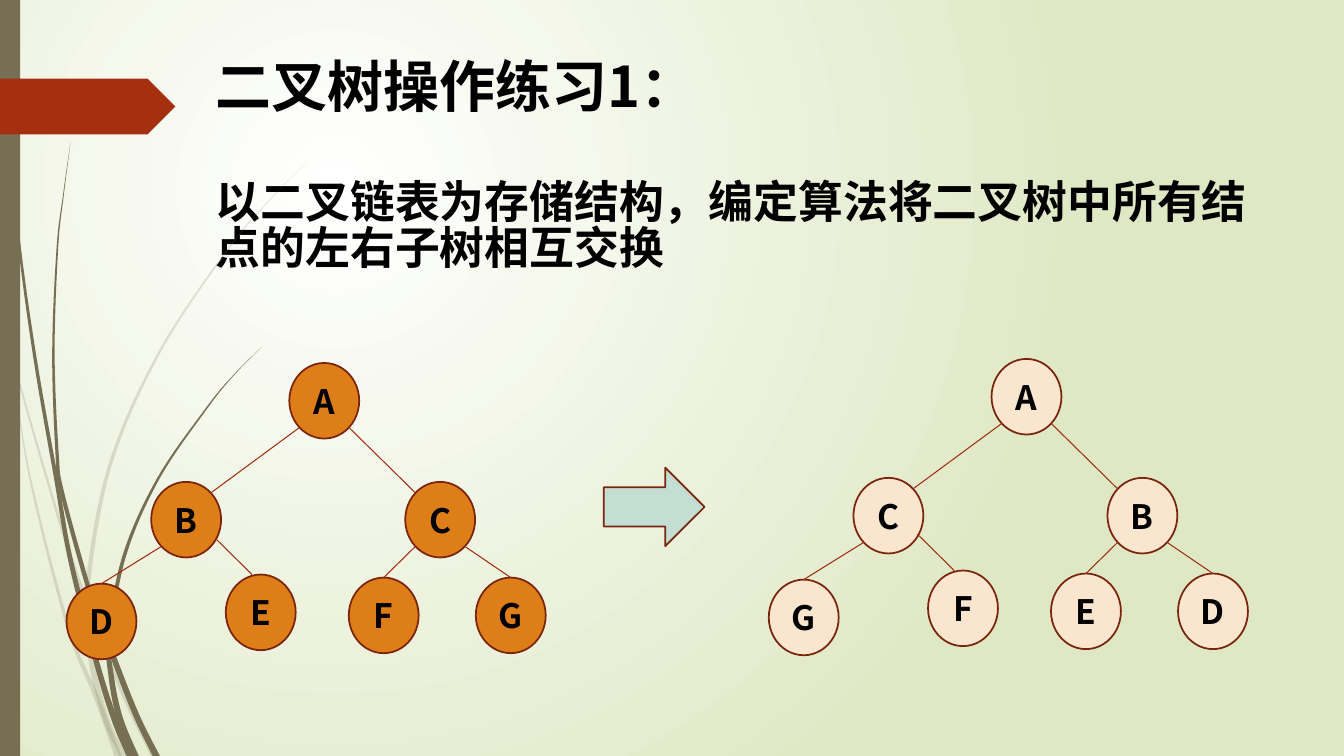
import dataclasses
import pptx
import pptx.util
import pptx.dml.color
import pptx.enum.shapes
import pptx.enum.text
import pptx.oxml.ns
from lxml import etree

qn = pptx.oxml.ns.qn
Pt = pptx.util.Pt
RGB = pptx.dml.color.RGBColor.from_string
SHAPE = pptx.enum.shapes.MSO_SHAPE
ALIGN = pptx.enum.text.PP_ALIGN
ANCHOR = pptx.enum.text.MSO_ANCHOR


@dataclasses.dataclass(frozen=True)
class Theme:
    font: str = "Noto Sans CJK SC"
    text: str = "000000"
    glow: str = "FFFFFF"
    meadow: str = "DFE8C4"
    stalk: str = "766F54"
    ribbon: str = "A53010"
    outline: str = "7A240C"
    edge: str = "9E2E0F"
    before: str = "DE7E18"
    after: str = "FAE5CF"
    arrow: str = "C3DED3"
    title_size: int = 40
    body_size: int = 32
    node_size: int = 24
    outline_width: float = 1.25
    edge_width: float = 0.75


theme = Theme()
presentation = pptx.Presentation()
presentation.slide_width = pptx.util.Inches(13.33)
presentation.slide_height = pptx.util.Inches(7.5)
cell = presentation.slide_width / 40
slide = presentation.slides.add_slide(presentation.slide_layouts[1])


def write(shape, text, size, align, anchor, inset):
    frame = shape.text_frame
    frame.text = text
    frame.word_wrap = True
    frame.auto_size = pptx.enum.text.MSO_AUTO_SIZE.NONE
    frame.vertical_anchor = anchor
    frame.margin_left = frame.margin_right = round(inset * cell)
    frame.margin_top = frame.margin_bottom = round(inset * cell / 2)
    paragraph = frame.paragraphs[0]
    paragraph.alignment = align
    paragraph.space_before = Pt(0)
    font = paragraph.runs[0].font
    font.size, font.bold = Pt(size), True
    font.color.rgb = RGB(theme.text)
    font.name = theme.font
    etree.SubElement(font._element, qn("a:ea"), typeface=theme.font)
    return paragraph


def paint(shape, fill, outline=None):
    shape.shadow.inherit = False
    shape.fill.solid()
    shape.fill.fore_color.rgb = RGB(fill)
    if outline:
        shape.line.color.rgb = RGB(outline)
        shape.line.width = Pt(theme.outline_width)
    else:
        shape.line.fill.background()
    return shape


background = slide.background.fill
background.gradient()
for stop, color in zip(background.gradient_stops, (theme.glow, theme.meadow)):
    stop.color.rgb = RGB(color)
gradient = slide.element.find(".//" + qn("a:gradFill"))
gradient.remove(gradient.find(qn("a:lin")))
circle = etree.SubElement(gradient, qn("a:path"))
circle.set("path", "circle")
etree.SubElement(circle, qn("a:fillToRect"), l="50000", t="50000", r="100000", b="100000")

faint_blades = [
    [(0, 8.7), (0.42, 10.8), (1.8, 15.6), (2.61, 18), (3.75, 20.79), (4.59, 22.5)],
    [(0.33, 10.5), (0.87, 14.1), (2.01, 18.6), (2.85, 20.7), (3.51, 22.5)],
    [(9.36, 4.59), (8.04, 5.94), (6.84, 7.35), (4.77, 10.44), (3.27, 13.86),
     (2.6, 17.52), (2.67, 19.38), (3.12, 21.3), (3.66, 22.5)],
]
dark_blades = [
    [(0.1, 0), (0.18, 1.44), (0.22, 3.3), (0.54, 6.99), (1.04, 10.65),
     (1.68, 14.31), (2.1, 16.68), (2.88, 19.74), (3.42, 21.45), (3.87, 22.5)],
    [(2.1, 4.23), (1.89, 5.79), (1.71, 7.35), (1.59, 10.47), (1.7, 13.5),
     (1.86, 14.7), (2.7, 17.73), (3.24, 19.2), (4.02, 21.21), (4.65, 22.5)],
    [(7.8, 10.32), (6.93, 11.2), (6.14, 12.17), (4.71, 14.25), (3.7, 16.55),
     (3.26, 18.96), (3.32, 20.19), (3.57, 21.39), (4.02, 22.5)],
]
blade_width = 0.22
steps = 8
for blade in faint_blades + dark_blades:
    knots = [blade[0], *blade, blade[-1]]
    spine = []
    for a, b, c, d in zip(knots, knots[1:], knots[2:], knots[3:]):
        for step in range(steps):
            t = step / steps
            spine.append([
                q + t * (r - p) / 2 + t**2 * (p - 2.5 * q + 2 * r - s / 2)
                + t**3 * (1.5 * (q - r) + (s - p) / 2)
                for p, q, r, s in zip(a, b, c, d)
            ])
    spine.append(blade[-1])
    halves = [blade_width / 2 * index / len(spine) for index in range(len(spine))]
    left = [(x - half, y) for (x, y), half in zip(spine, halves)]
    right = [(x + half, y) for (x, y), half in zip(spine, halves)]
    outline = [(round(x * cell), round(y * cell)) for x, y in left + right[::-1]]
    builder = slide.shapes.build_freeform(*outline[0])
    builder.add_line_segments(outline[1:], close=True)
    shape = paint(builder.convert_to_shape(), theme.stalk)
    if blade in faint_blades:
        color = shape.element.find(".//" + qn("a:srgbClr"))
        etree.SubElement(color, qn("a:alpha"), val="20000")

for kind, box, fill, outline in [
    (SHAPE.RECTANGLE, (0, 0, 0.6, 22.5), theme.stalk, None),
    (SHAPE.PENTAGON, (0, 2.34, 5.22, 1.66), theme.ribbon, None),
    (SHAPE.RIGHT_ARROW, (17.97, 13.92, 3, 2.34), theme.arrow, theme.outline),
]:
    paint(slide.shapes.add_shape(kind, *(round(v * cell) for v in box)), fill, outline)

title, body = slide.placeholders
for placeholder, text, size, top, height in [
    (title, "二叉树操作练习1：", theme.title_size, 1.7, 2.5),
    (body, "以二叉链表为存储结构，编定算法将二叉树中所有结点的左右子树相互交换",
     theme.body_size, 5.28, 4),
]:
    placeholder.left, placeholder.top = round(6.12 * cell), round(top * cell)
    placeholder.width, placeholder.height = round(32.31 * cell), round(height * cell)
    paragraph = write(placeholder, text, size, ALIGN.LEFT, ANCHOR.TOP, 0.3)
    paragraph.line_spacing = 0.85
    properties = paragraph._p.get_or_add_pPr()
    properties.set("marL", "0")
    properties.set("indent", "0")
    etree.SubElement(properties, qn("a:buNone"))

node_width, node_height = 2.08, 2.25
centers = [(9.65, 11.93), (5.54, 15.47), (13.1, 15.47), (3.02, 18.5),
           (7.76, 18.23), (11.42, 18.32), (15.2, 18.32)]
diagonal = 0.71
lower_left, lower_right = (-diagonal, diagonal), (diagonal, diagonal)
upper_left, upper_right = (-diagonal, -diagonal), (diagonal, -diagonal)
top = (0, -1)
edges = [
    (0, lower_left, 1, upper_right), (0, lower_right, 2, upper_left),
    (1, lower_left, 3, top), (1, (0.83, 0.49), 4, (-0.25, -1)),
    (2, lower_left, 5, top), (2, lower_right, 6, top),
]
for labels, fill, shift_x, shift_y in [
    ("ABCDEFG", theme.before, 0, 0),
    ("ACBGFED", theme.after, 20.9, -0.12),
]:
    tree = slide.shapes.add_group_shape()
    nodes = [(x + shift_x, y + shift_y) for x, y in centers]
    for label, (x, y) in zip(labels, nodes):
        box = (x - node_width / 2, y - node_height / 2, node_width, node_height)
        node = tree.shapes.add_shape(SHAPE.OVAL, *(round(v * cell) for v in box))
        paint(node, fill, theme.outline)
        write(node, label, theme.node_size, ALIGN.CENTER, ANCHOR.MIDDLE, 0)
    for parent, start, child, end in edges:
        points = []
        for index, (side_x, side_y) in ((parent, start), (child, end)):
            x, y = nodes[index]
            points.append(round((x + side_x * node_width / 2) * cell))
            points.append(round((y + side_y * node_height / 2) * cell))
        edge = tree.shapes.add_connector(pptx.enum.shapes.MSO_CONNECTOR.STRAIGHT, *points)
        edge.line.color.rgb = RGB(theme.edge)
        edge.line.width = Pt(theme.edge_width)
        etree.SubElement(edge.element.find(qn("p:spPr")), qn("a:effectLst"))

presentation.save("out.pptx")
